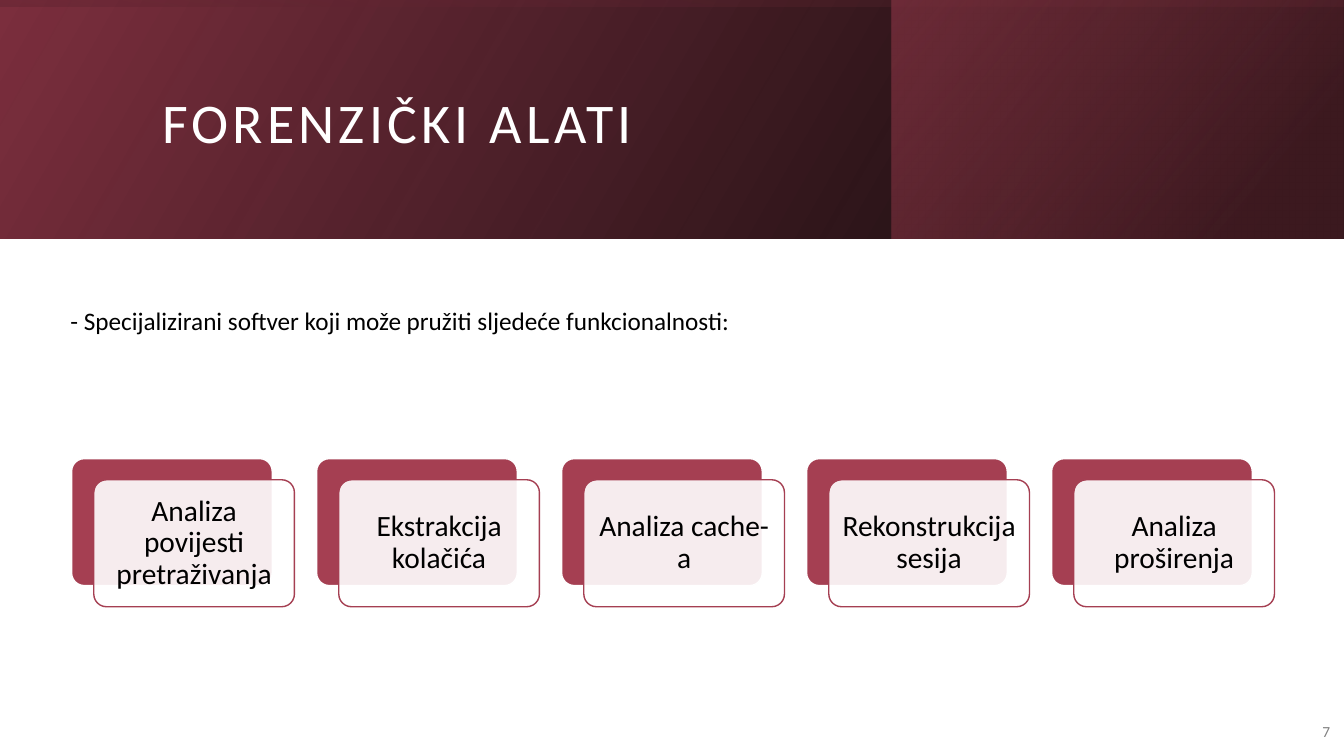
import pptx
import pptx.util
import pptx.dml.color
import pptx.enum.shapes
import pptx.enum.text
import lxml.etree

Inches, Pt = pptx.util.Inches, pptx.util.Pt
RGB = pptx.dml.color.RGBColor
SHAPES = pptx.enum.shapes.MSO_SHAPE
ALIGN, ANCHOR = pptx.enum.text.PP_ALIGN, pptx.enum.text.MSO_ANCHOR

BLACK, WHITE, GRAY = RGB(0, 0, 0), RGB(255, 255, 255), RGB(0x80, 0x80, 0x80)
WINE, ROSE, MAROON = RGB(0x7C, 0x2F, 0x3E), RGB(0xA5, 0x3F, 0x52), RGB(0x52, 0x20, 0x29)
FONT = "Calibri"

TITLE = "FORENZIČKI ALATI"
INTRO = "- Specijalizirani softver koji može pružiti sljedeće funkcionalnosti:"
PAGE = "7"
FEATURES = [
    "Analiza povijesti pretraživanja",
    "Ekstrakcija kolačića",
    "Analiza cache-a",
    "Rekonstrukcija sesija",
    "Analiza proširenja",
]
# box, rotation, counter-clockwise gradient angle, stops (position, colour, opacity %)
BANNER = [
    ((0, 0, 13.33, 2.37), 0, 30, [(0, BLACK, 96), (1, WINE, 100)]),
    ((8.84, 0, 4.48, 2.37), 0, 40, [(0.19, MAROON, 68), (1, ROSE, 48)]),
    ((5.48, -5.48, 2.37, 13.33), 270, 10, [(0.23, WINE, 16), (0.99, BLACK, 45)]),
]
CARD_LEFT, CARD_TOP, CARD_PITCH = 0.71, 4.55, 2.43
CARD_W, CARD_H = 1.99, 1.26
CARD_SHIFT_X, CARD_SHIFT_Y = 0.22, 0.21


def set_opacity(sp, percents):
    """Give the fill colours of a shape their opacity, in order."""
    ns = pptx.oxml.ns.qn
    for clr, percent in zip(sp._element.spPr.iter(ns("a:srgbClr")), percents):
        lxml.etree.SubElement(clr, ns("a:alpha")).set("val", str(percent * 1000))


def add_shape(slide, kind, box):
    """Add a preset shape without shadow."""
    sp = slide.shapes.add_shape(kind, *map(Inches, box))
    sp.shadow.inherit = False
    return sp


def add_banner(slide, box, rotation, angle, stops):
    """Add a mirrored rectangle with a translucent gradient."""
    sp = add_shape(slide, SHAPES.RECTANGLE, box)
    sp.rotation = rotation
    sp._element.spPr.xfrm.set("flipH", "1")
    sp.line.fill.background()
    sp.fill.gradient()
    sp.fill.gradient_angle = angle
    for stop, (position, color, _) in zip(sp.fill.gradient_stops, stops):
        stop.position = position
        stop.color.rgb = color
    set_opacity(sp, [opacity for _, _, opacity in stops])


def add_card(slide, box, fill, line):
    """Add one rounded rectangle of a feature card."""
    sp = add_shape(slide, SHAPES.ROUNDED_RECTANGLE, box)
    sp.adjustments[0] = 0.1
    sp.fill.solid()
    sp.fill.fore_color.rgb = fill
    sp.line.color.rgb = line
    sp.line.width = Pt(1)
    return sp


def write(sp, text, size, color, align=ALIGN.LEFT, anchor=ANCHOR.MIDDLE, spacing=1.0):
    """Write one wrapped paragraph into a shape and return its run."""
    tf = sp.text_frame
    tf.word_wrap = True
    tf.vertical_anchor = anchor
    p = tf.paragraphs[0]
    p.alignment = align
    p.line_spacing = spacing
    r = p.add_run()
    r.text = text
    r.font.name, r.font.size = FONT, Pt(size)
    r.font.color.rgb = color
    return r


def add_text(slide, box, *args, **kwargs):
    """Add a text box and return its run."""
    return write(slide.shapes.add_textbox(*map(Inches, box)), *args, **kwargs)


prs = pptx.Presentation()
prs.slide_width, prs.slide_height = Inches(13.33), Inches(7.5)
slide = prs.slides.add_slide(prs.slide_layouts[6])

for banner in BANNER:
    add_banner(slide, *banner)

title = add_text(slide, (1.51, 0.38, 10.63, 1.72), TITLE, 40, WHITE, spacing=0.9)
title.font._element.set("spc", "300")
add_text(slide, (12.8, 7.06, 0.49, 0.4), PAGE, 11, GRAY, ALIGN.RIGHT)

for i, feature in enumerate(FEATURES):
    left = CARD_LEFT + i * CARD_PITCH
    add_card(slide, (left, CARD_TOP, CARD_W, CARD_H), ROSE, WHITE)
    front = add_card(slide, (left + CARD_SHIFT_X, CARD_TOP + CARD_SHIFT_Y, CARD_W, CARD_H),
                     WHITE, ROSE)
    set_opacity(front, [90])
    tf = front.text_frame
    tf.margin_left = tf.margin_right = tf.margin_top = tf.margin_bottom = Inches(0.09)
    write(front, feature, 21, BLACK, ALIGN.CENTER, spacing=0.9)

add_text(slide, (0.6, 2.67, 12.12, 0.71), INTRO, 18, BLACK, anchor=ANCHOR.BOTTOM)

prs.save("out.pptx")
